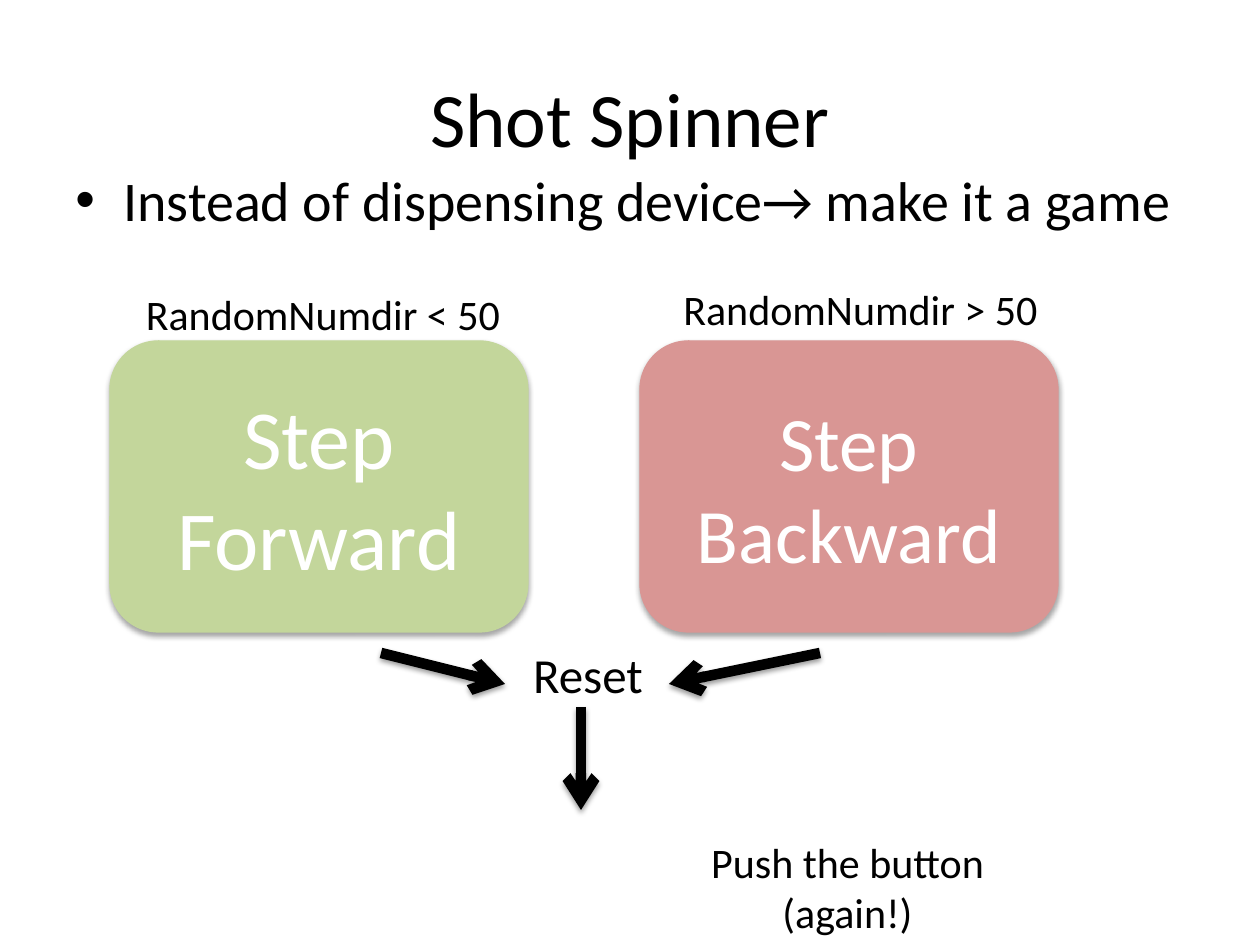
"""Build the Shot Spinner flow slide."""
from dataclasses import dataclass

from lxml import etree
from pptx import Presentation
from pptx import util as u
from pptx.dml.color import RGBColor
from pptx.enum import shapes, text
from pptx.oxml.ns import qn


@dataclass(frozen=True)
class Theme:
    font: str = "Calibri"
    ink: str = "000000"
    paper: str = "FFFFFF"
    forward: str = "C3D69B"
    backward: str = "D99694"
    title: int = 44
    body: int = 32
    big: int = 48
    reset: int = 28
    label: int = 24
    outline: float = 0.75
    arrow: int = 6


@dataclass(frozen=True)
class Label:
    words: str
    x: int
    y: int
    w: int
    h: int
    size: int
    wrap: bool = True
    middle: bool = False
    bullet: bool = False


@dataclass(frozen=True)
class Step:
    words: str
    x: int
    size: int
    color: str


@dataclass(frozen=True)
class Arrow:
    x1: int
    y1: int
    x2: int
    y2: int


T = Theme()
STEP_Y, STEP_W, STEP_H = 341, 418, 291
LABELS = [
    Label("Shot Spinner", 63, 38, 1134, 158, T.title, middle=True),
    Label("Instead of dispensing device→ make it a game", 63, 159, 1134, 125,
          T.body, bullet=True),
    Label("RandomNumdir < 50", 118, 282, 410, 63, T.label),
    Label("RandomNumdir > 50", 669, 277, 383, 63, T.label, wrap=False),
    Label("Reset", 470, 638, 236, 72, T.reset),
    Label("Push the button (again!)", 669, 830, 357, 115, T.label),
]
STEPS = [
    Step("Step Forward", 110, T.big, T.forward),
    Step("Step Backward", 640, T.title, T.backward),
]
ARROWS = [
    Arrow(820, 653, 669, 684),
    Arrow(381, 653, 505, 684),
    Arrow(581, 707, 581, 810),
]


def px(n: int) -> u.Emu:
    """Turn pixels at 126 to the inch into EMU."""
    return u.Emu(round(n * 914400 / 126))


def rgb(color: str) -> RGBColor:
    """Read a hex colour."""
    return RGBColor.from_string(color)


def write(tf, words: str, size: int, color: str):
    """Put one centred run in a text frame and return its paragraph."""
    p = tf.paragraphs[0]
    p.alignment = text.PP_ALIGN.CENTER
    r = p.add_run()
    r.text = words
    r.font.name, r.font.size = T.font, u.Pt(size)
    r.font.color.rgb = rgb(color)
    return p


def add_shadow(sp, alpha: int, dist: float) -> None:
    """Give a shape or connector a soft shadow straight below it."""
    props = sp._element.spPr
    effects = props.find(qn("a:effectLst"))
    if effects is None:
        effects = etree.SubElement(props, qn("a:effectLst"))
    shadow = etree.SubElement(
        effects, qn("a:outerShdw"), blurRad=str(u.Pt(3.1)), dist=str(u.Pt(dist)),
        dir="5400000", rotWithShape="0")
    color = etree.SubElement(shadow, qn("a:srgbClr"), val=T.ink)
    etree.SubElement(color, qn("a:alpha"), val=str(alpha * 1000))


def add_bullet(p) -> None:
    """Turn a paragraph into a left-aligned bullet with a hanging indent."""
    p.alignment = text.PP_ALIGN.LEFT
    p.space_before = u.Pt(6.4)
    props = p._p.get_or_add_pPr()
    indent = u.Inches(0.38)
    props.set("marL", str(indent))
    props.set("indent", str(-indent))
    etree.SubElement(props, qn("a:buFont"), typeface="Arial")
    etree.SubElement(props, qn("a:buChar"), char="•")


def draw_label(s, label: Label) -> None:
    """Draw a text box."""
    sp = s.shapes.add_textbox(px(label.x), px(label.y), px(label.w), px(label.h))
    tf = sp.text_frame
    tf.word_wrap = label.wrap
    if label.middle:
        tf.vertical_anchor = text.MSO_ANCHOR.MIDDLE
    p = write(tf, label.words, label.size, T.ink)
    if label.bullet:
        add_bullet(p)


def draw_step(s, step: Step) -> None:
    """Draw a rounded step box."""
    sp = s.shapes.add_shape(shapes.MSO_SHAPE.ROUNDED_RECTANGLE,
                            px(step.x), px(STEP_Y), px(STEP_W), px(STEP_H))
    sp.fill.solid()
    sp.fill.fore_color.rgb = rgb(step.color)
    sp.line.color.rgb = rgb(step.color)
    sp.line.width = u.Pt(T.outline)
    sp.shadow.inherit = False
    add_shadow(sp, 35, 1.8)
    tf = sp.text_frame
    tf.word_wrap = True
    tf.vertical_anchor = text.MSO_ANCHOR.MIDDLE
    write(tf, step.words, step.size, T.paper)


def draw_arrow(s, arrow: Arrow) -> None:
    """Draw a thick line with an open arrowhead at its end."""
    sp = s.shapes.add_connector(shapes.MSO_CONNECTOR.STRAIGHT, px(arrow.x1),
                                px(arrow.y1), px(arrow.x2), px(arrow.y2))
    sp.line.color.rgb = rgb(T.ink)
    sp.line.width = u.Pt(T.arrow)
    etree.SubElement(sp.line._get_or_add_ln(), qn("a:tailEnd"), type="arrow")
    add_shadow(sp, 38, 1.6)


def main() -> None:
    """Build and save the slide."""
    prs = Presentation()
    prs.slide_width, prs.slide_height = px(1260), px(945)
    s = prs.slides.add_slide(prs.slide_layouts[6])
    for step in STEPS:
        draw_step(s, step)
    for label in LABELS:
        draw_label(s, label)
    for arrow in ARROWS:
        draw_arrow(s, arrow)
    prs.save("out.pptx")


if __name__ == "__main__":
    main()
